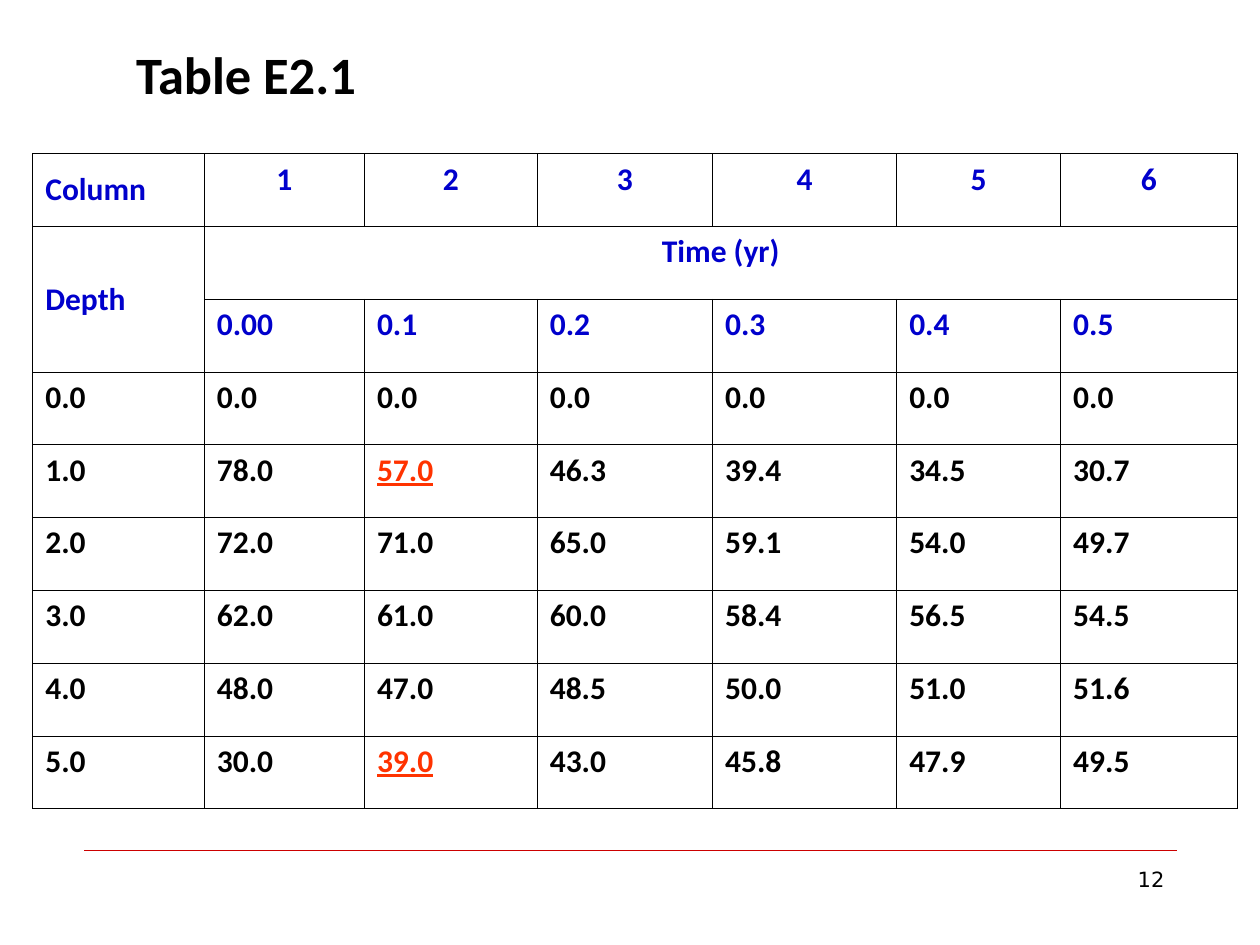
import lxml.etree
import pptx
import pptx.dml.color
import pptx.enum.shapes
import pptx.enum.text
import pptx.oxml
import pptx.oxml.ns
import pptx.util

Inches = pptx.util.Inches
Align = pptx.enum.text.PP_ALIGN
Anchor = pptx.enum.text.MSO_ANCHOR

BLACK, WHITE, BLUE, ORANGE, RED = "000000", "FFFFFF", "0000CC", "FF3300", "CC0000"

COLUMN_WIDTHS = [1.36, 1.27, 1.37, 1.39, 1.46, 1.3, 1.4]
HEADER_ROWS = [
    ["Column", "1", "2", "3", "4", "5", "6"],
    ["Depth", "Time (yr)", "", "", "", "", ""],
    ["", "0.00", "0.1", "0.2", "0.3", "0.4", "0.5"],
]
DEPTH_ROWS = [
    [0.0, 0.0, 0.0, 0.0, 0.0, 0.0, 0.0],
    [1.0, 78.0, 57.0, 46.3, 39.4, 34.5, 30.7],
    [2.0, 72.0, 71.0, 65.0, 59.1, 54.0, 49.7],
    [3.0, 62.0, 61.0, 60.0, 58.4, 56.5, 54.5],
    [4.0, 48.0, 47.0, 48.5, 50.0, 51.0, 51.6],
    [5.0, 30.0, 39.0, 43.0, 45.8, 47.9, 49.5],
]
HIGHLIGHTED_CELLS = {(4, 2), (8, 2)}


def rgb(color):
    return pptx.dml.color.RGBColor.from_string(color)


def write(text_frame, text, size, color, font="Calibri", bold=True,
          align=Align.LEFT, underline=False):
    paragraph = text_frame.paragraphs[0]
    paragraph.alignment = align
    run = paragraph.add_run()
    run.text = text
    run.font.name = font
    run.font.size = pptx.util.Pt(size)
    run.font.bold = bold
    run.font.underline = underline
    run.font.color.rgb = rgb(color)


def set_borders(cell, color, width):
    properties = cell._tc.get_or_add_tcPr()
    for position, side in enumerate(("lnL", "lnR", "lnT", "lnB")):
        border = pptx.oxml.parse_xml(
            f'<a:{side} {pptx.oxml.ns.nsdecls("a")} w="{pptx.util.Pt(width)}">'
            f'<a:solidFill><a:srgbClr val="{color}"/></a:solidFill></a:{side}>')
        properties.insert(position, border)


def place_title(slide, left, top, width, height):
    title = slide.shapes.title
    title.left, title.top, title.width, title.height = left, top, width, height
    text_frame = title.text_frame
    text_frame.word_wrap = True
    text_frame.auto_size = pptx.enum.text.MSO_AUTO_SIZE.NONE
    text_frame.vertical_anchor = Anchor.TOP
    write(text_frame, "Table E2.1", 30, BLACK)


def add_depth_table(slide, left, top, width, height):
    rows = HEADER_ROWS + [[f"{value:.1f}" for value in row] for row in DEPTH_ROWS]
    table = slide.shapes.add_table(
        len(rows), len(COLUMN_WIDTHS), left, top, width, height).table
    table.first_row = table.horz_banding = False
    for column, share in zip(table.columns, COLUMN_WIDTHS):
        column.width = int(width * share / sum(COLUMN_WIDTHS))

    for row_index, row in enumerate(rows):
        is_header = row_index < len(HEADER_ROWS)
        for column_index, text in enumerate(row):
            cell = table.cell(row_index, column_index)
            cell.fill.solid()
            cell.fill.fore_color.rgb = rgb(WHITE)
            set_borders(cell, BLACK, 0.45)
            if is_header and column_index == 0:
                cell.vertical_anchor = Anchor.MIDDLE
            if not text:
                continue
            highlighted = (row_index, column_index) in HIGHLIGHTED_CELLS
            centered = row_index < 2 and column_index > 0
            color = BLUE if is_header else ORANGE if highlighted else BLACK
            write(cell.text_frame, text, 18, color,
                  align=Align.CENTER if centered else Align.LEFT,
                  underline=highlighted)

    table.cell(1, 0).merge(table.cell(2, 0))
    table.cell(1, 1).merge(table.cell(1, len(COLUMN_WIDTHS) - 1))


def add_footer(slide, left, top, width, height):
    """Draw the rule along the top of the box and the page number below it."""
    right = left + width
    rule = slide.shapes.add_connector(
        pptx.enum.shapes.MSO_CONNECTOR.STRAIGHT, left, top, right, top)
    rule.line.color.rgb = rgb(RED)
    rule.line.width = pptx.util.Pt(0.25)
    lxml.etree.SubElement(rule._element.spPr, pptx.oxml.ns.qn("a:effectLst"))

    number_width, gap = Inches(2.17), Inches(0.08)
    number = slide.shapes.add_textbox(
        right - number_width, top + gap, number_width, height - gap)
    number.text_frame.word_wrap = True
    write(number.text_frame, "12", 12, BLACK, font="DejaVu Sans", bold=False,
          align=Align.RIGHT)


def main():
    presentation = pptx.Presentation()
    presentation.slide_width = Inches(10)
    presentation.slide_height = Inches(7.5)
    slide = presentation.slides.add_slide(presentation.slide_layouts[5])
    add_footer(slide, Inches(0.67), Inches(6.75), Inches(8.67), Inches(0.6))
    place_title(slide, Inches(0.98), Inches(0.28), Inches(2.13), Inches(1.1))
    add_depth_table(slide, Inches(0.26), Inches(1.22), Inches(9.56), Inches(5.2))
    presentation.save("out.pptx")


if __name__ == "__main__":
    main()
